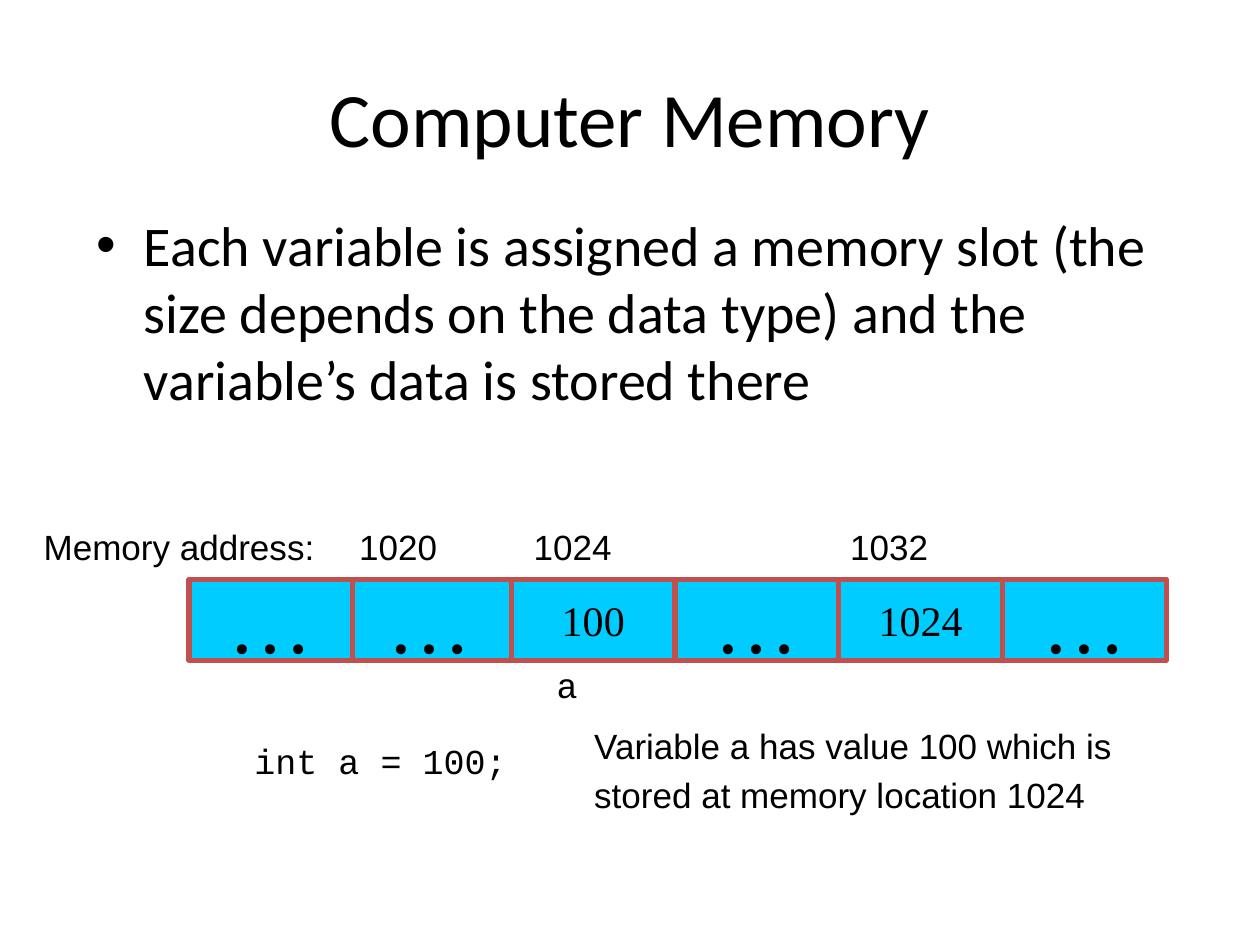
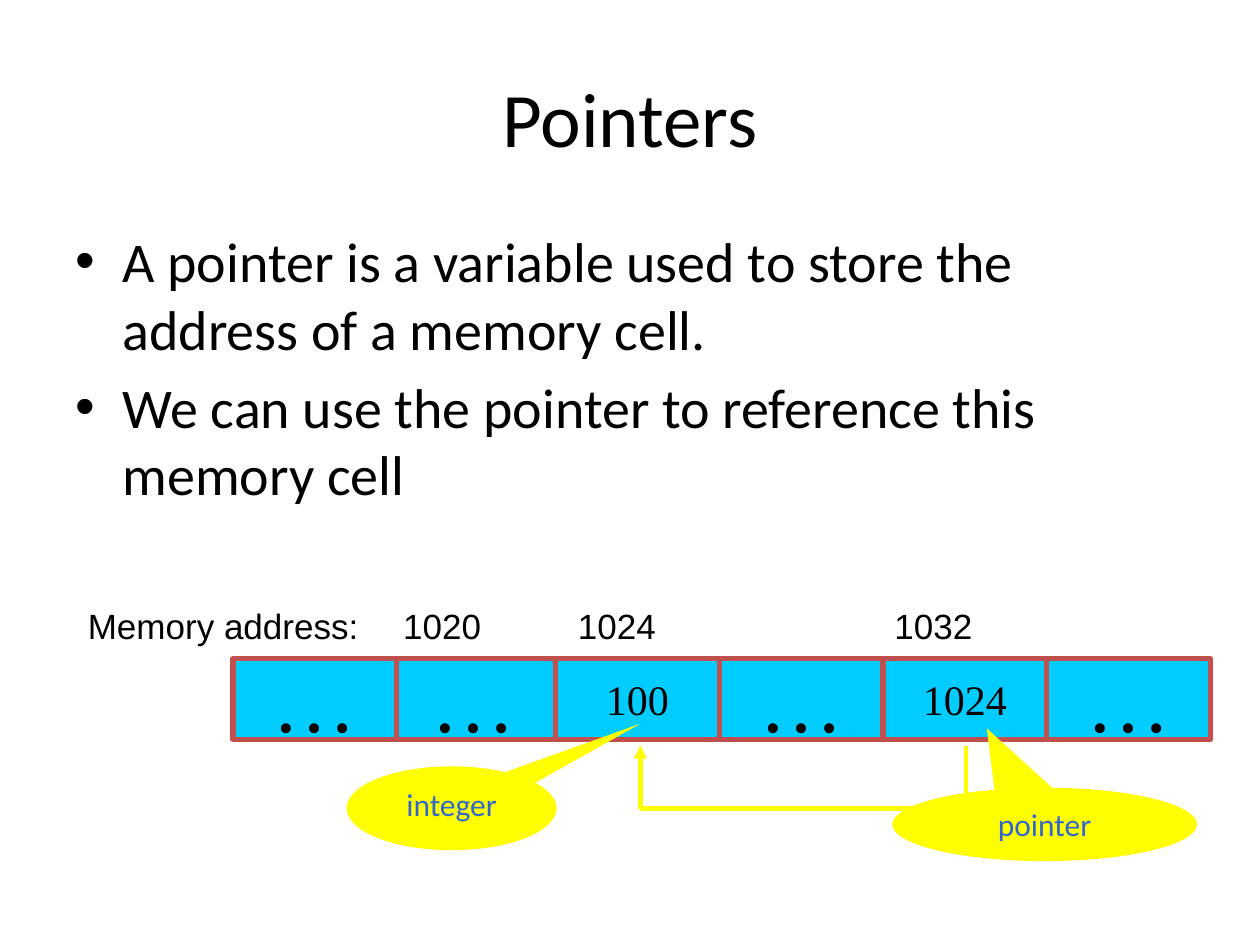
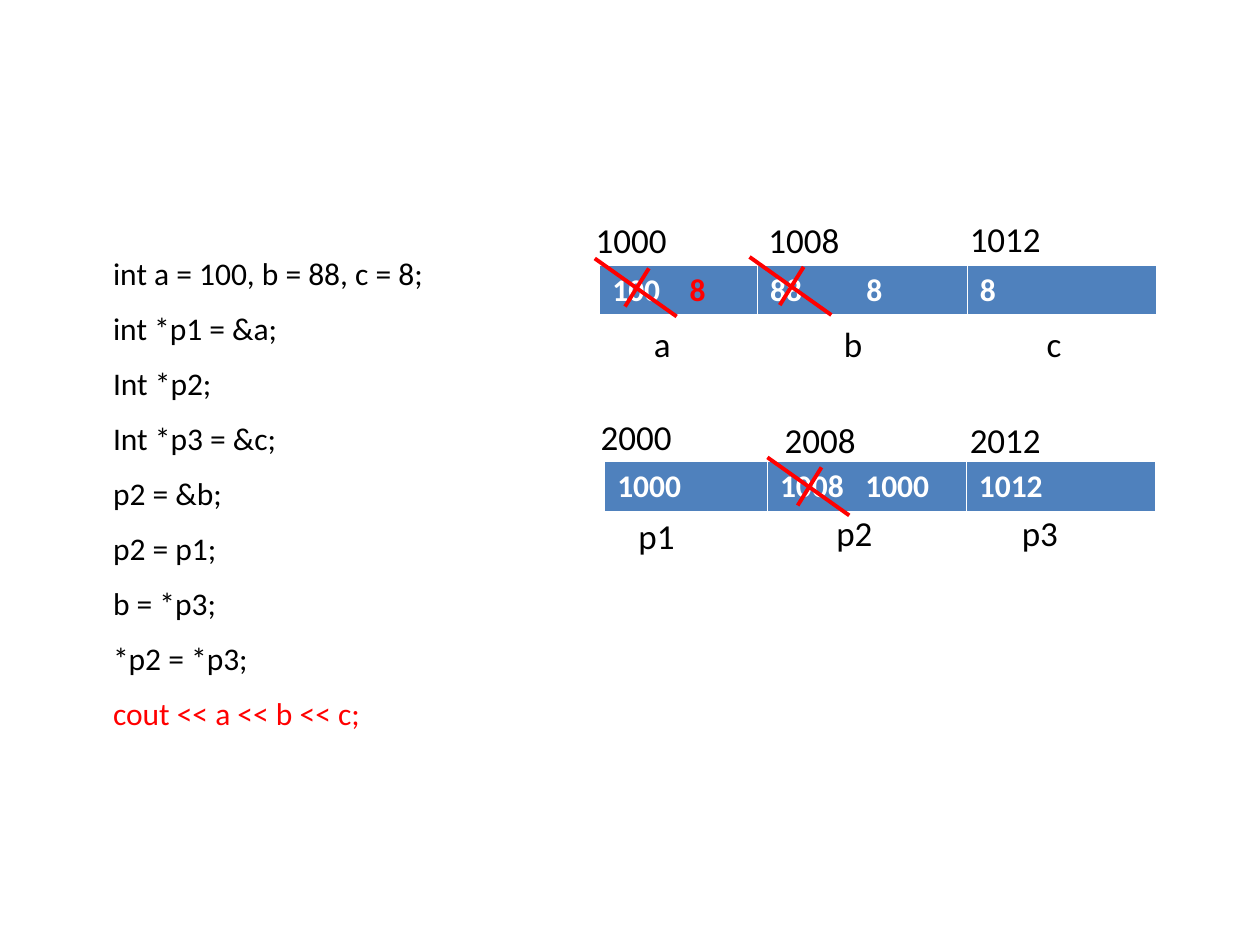
from lxml import etree
from pptx import Presentation
from pptx import util as u
from pptx.dml.color import RGBColor
from pptx.enum import shapes, text
from pptx.oxml import ns

Cm, Pt = u.Cm, u.Pt
BLACK, WHITE, RED, YELLOW = "000000", "FFFFFF", "FF0000", "FFFF00"
CELL_FILL, CELL_LINE, TABLE_FILL, CALLOUT_TEXT = "00CCFF", "C0504D", "4F81BD", "3366CC"
BODY, LABEL, CODE, VALUE = "Calibri", "Arial", "Courier New", "Times New Roman"
CELL_W, CELL_H = 3.3, 1.63


def rgb(color):
    return RGBColor.from_string(color)


def add_xml(parent, tag, **attrs):
    el = etree.SubElement(parent, ns.qn(tag))
    for name, value in attrs.items():
        el.set(name, str(value))
    return el


def style_run(r, size, font, color, bold=False):
    r.font.size = Pt(size)
    r.font.name = font
    r.font.bold = bold
    r.font.color.rgb = rgb(color)


def write(tf, lines, size, font, color=BLACK, align=text.PP_ALIGN.LEFT, before=0):
    tf.text = "\n".join(lines)
    for p in tf.paragraphs:
        p.alignment = align
        p.space_before = Pt(before)
        for r in p.runs:
            style_run(r, size, font, color)


def add_text(slide, x, y, w, h, lines, size=20, font=BODY, **kw):
    sp = slide.shapes.add_textbox(Cm(x), Cm(y), Cm(w), Cm(h))
    tf = sp.text_frame
    tf.word_wrap = True
    write(tf, lines, size, font, **kw)
    return tf


def add_label(slide, x, y, w, *lines, font=LABEL):
    add_text(slide, x, y, w, 1.1 * len(lines), lines, font=font, before=4)


def add_title(slide, title):
    tf = add_text(slide, 1.27, 0.76, 22.86, 3.18, [title], 44, align=text.PP_ALIGN.CENTER)
    tf.vertical_anchor = text.MSO_ANCHOR.MIDDLE


def add_bullets(slide, x, y, w, h, lines):
    tf = add_text(slide, x, y, w, h, lines, 32, before=6.4)
    for p in tf.paragraphs:
        pPr = p._p.get_or_add_pPr()
        pPr.set("marL", str(Cm(0.95)))
        pPr.set("indent", str(Cm(-0.95)))
        add_xml(pPr, "a:buFont", typeface="Arial")
        add_xml(pPr, "a:buChar", char="•")


def add_filled(slide, kind, x, y, w, h, fill):
    sp = slide.shapes.add_shape(kind, Cm(x), Cm(y), Cm(w), Cm(h))
    sp.shadow.inherit = False
    sp.fill.solid()
    sp.fill.fore_color.rgb = rgb(fill)
    sp.line.fill.background()
    return sp


def add_memory_cell(slide, x, y, value):
    sp = add_filled(slide, shapes.MSO_SHAPE.RECTANGLE, x, y, CELL_W, CELL_H, CELL_FILL)
    sp.line.color.rgb = rgb(CELL_LINE)
    sp.line.width = Pt(3)
    tf = sp.text_frame
    tf.word_wrap = False
    tf.vertical_anchor = text.MSO_ANCHOR.MIDDLE
    write(tf, [value], 48 if value == "…" else 24, VALUE, align=text.PP_ALIGN.CENTER)


def add_memory(slide, x, y):
    for i, value in enumerate(["…", "100", "…", "1024", "…"]):
        add_memory_cell(slide, x + 3.2 + i * CELL_W, y, value)
    add_memory_cell(slide, x, y, "…")
    for dx, w, label in [(-3.18, 6.35, "Memory address:"), (3.18, 2.7, "1020"),
                         (6.7, 2.7, "1024"), (13.08, 2.7, "1032")]:
        add_label(slide, x + dx, y - 1.22, w, label)


def add_line(slide, x1, y1, x2, y2, color, width, arrow=False):
    cn = slide.shapes.add_connector(shapes.MSO_CONNECTOR.STRAIGHT,
                                    Cm(x1), Cm(y1), Cm(x2), Cm(y2))
    cn.line.color.rgb = rgb(color)
    cn.line.width = Pt(width)
    if arrow:
        add_xml(cn.line._get_or_add_ln(), "a:tailEnd", type="triangle")
    add_xml(cn._element.spPr, "a:effectLst")


def add_callout(slide, x, y, w, h, adjustments, label):
    sp = add_filled(slide, shapes.MSO_SHAPE.OVAL_CALLOUT, x, y, w, h, YELLOW)
    for i, value in enumerate(adjustments):
        sp.adjustments[i] = value
    sp.text_frame.vertical_anchor = text.MSO_ANCHOR.TOP
    write(sp.text_frame, [label], 18, BODY, CALLOUT_TEXT, text.PP_ALIGN.CENTER)


def add_cross(slide, x, y):
    add_line(slide, x + 1.09, y + 0.2, x + 0.61, y + 0.97, RED, 2.25)
    add_line(slide, x, y, x + 1.65, y + 1.17, RED, 2.25)


def set_borders(cell):
    tcPr = cell._tc.get_or_add_tcPr()
    for i, (side, width) in enumerate([("L", 1), ("R", 1), ("T", 1), ("B", 3)]):
        ln = add_xml(tcPr, f"a:ln{side}", w=Pt(width))
        add_xml(add_xml(ln, "a:solidFill"), "a:srgbClr", val=WHITE)
        tcPr.insert(i, ln)


def add_values(slide, x, y, widths, cells):
    frame = slide.shapes.add_table(1, len(cells), Cm(x), Cm(y), Cm(sum(widths)), Cm(1.04))
    table = frame.table
    table.first_row = table.horz_banding = False
    for i, (width, (tab, runs)) in enumerate(zip(widths, cells)):
        table.columns[i].width = Cm(width)
        cell = table.cell(0, i)
        cell.fill.solid()
        cell.fill.fore_color.rgb = rgb(TABLE_FILL)
        set_borders(cell)
        p = cell.text_frame.paragraphs[0]
        if tab:
            tabs = add_xml(p._p.get_or_add_pPr(), "a:tabLst")
            add_xml(tabs, "a:tab", pos=Cm(tab), algn="l")
        for value, color in runs:
            r = p.add_run()
            r.text = value
            style_run(r, 18, BODY, color, bold=True)


def add_names(slide, names):
    for x, y, name in names:
        add_text(slide, x, y, 2.2, 1.12, [name])


def build_computer_memory(slide):
    add_title(slide, "Computer Memory")
    add_bullets(slide, 1.7, 4.12, 21.79, 9.86, [
        "Each variable is assigned a memory slot (the size depends on the data type) "
        "and the variable’s data is stored there"])
    add_memory(slide, 3.81, 11.68)
    add_label(slide, 11.73, 14.48, 11.43, "Variable a has value 100 which is",
              "stored at memory location 1024")
    add_label(slide, 4.88, 14.78, 6, "int a = 100;", font=CODE)
    add_label(slide, 10.97, 13.26, 1.2, "a", font=CODE)


def build_pointers(slide):
    add_title(slide, "Pointers")
    add_bullets(slide, 1.27, 4.45, 22.86, 12.57, [
        "A pointer is a variable used to store the address of a memory cell.",
        "We can use the pointer to reference this memory cell"])
    add_memory(slide, 4.7, 13.28)
    left, right, top, bottom = 12.91, 19.47, 15.03, 16.3
    add_line(slide, left, bottom, left, top, YELLOW, 2.5, arrow=True)
    add_line(slide, left, bottom, right, bottom, YELLOW, 2.5)
    add_line(slide, right, top, right, bottom, YELLOW, 2.5)
    add_callout(slide, 6.99, 15.45, 4.23, 1.69, (0.9, -1.01), "integer")
    add_callout(slide, 17.99, 15.88, 6.14, 1.48, (-0.19, -1.31), "pointer")


def build_pointer_trace(slide):
    add_values(slide, 12.09, 5.34, [3.18, 4.23, 3.81], [
        (1.56, [("100\t", WHITE), ("8", RED)]),
        (1.94, [("88\t8", WHITE)]),
        (None, [("8", WHITE)])])
    add_names(slide, [(12.93, 6.38, "a"), (16.76, 6.38, "b"), (20.85, 6.38, "c"),
                      (11.76, 4.29, "1000"), (15.24, 4.29, "1008"), (19.3, 4.27, "1012")])
    tf = add_text(slide, 2.03, 5.08, 8.26, 9.9, [
        "int a = 100, b = 88, c = 8;", "int *p1 = &a;", "Int *p2;", "Int *p3 = &c;",
        "p2 = &b;", "p2 = p1;", "b = *p3;", "*p2 = *p3;", "cout << a << b << c;"],
        18, before=6)
    for p in tf.paragraphs:
        p.line_spacing = 0.9
        p.space_after = Pt(6)
    tf.paragraphs[-1].runs[0].font.color.rgb = rgb(RED)
    add_values(slide, 12.19, 9.3, [3.28, 4.01, 3.81], [
        (None, [("1000", WHITE)]),
        (1.72, [("1008\t1000", WHITE)]),
        (None, [("1012", WHITE)])])
    add_names(slide, [(12.62, 10.24, "p1"), (16.61, 10.19, "p2"), (20.35, 10.19, "p3"),
                      (11.86, 8.26, "2000"), (15.57, 8.31, "2008"), (19.3, 8.31, "2012")])
    for x, y in [(15.47, 9.22), (15.11, 5.18), (11.99, 5.21)]:
        add_cross(slide, x, y)


def main():
    prs = Presentation()
    prs.slide_width, prs.slide_height = Cm(25.4), Cm(19.05)
    for build in (build_computer_memory, build_pointers, build_pointer_trace):
        build(prs.slides.add_slide(prs.slide_layouts[6]))
    prs.save("out.pptx")


if __name__ == "__main__":
    main()
